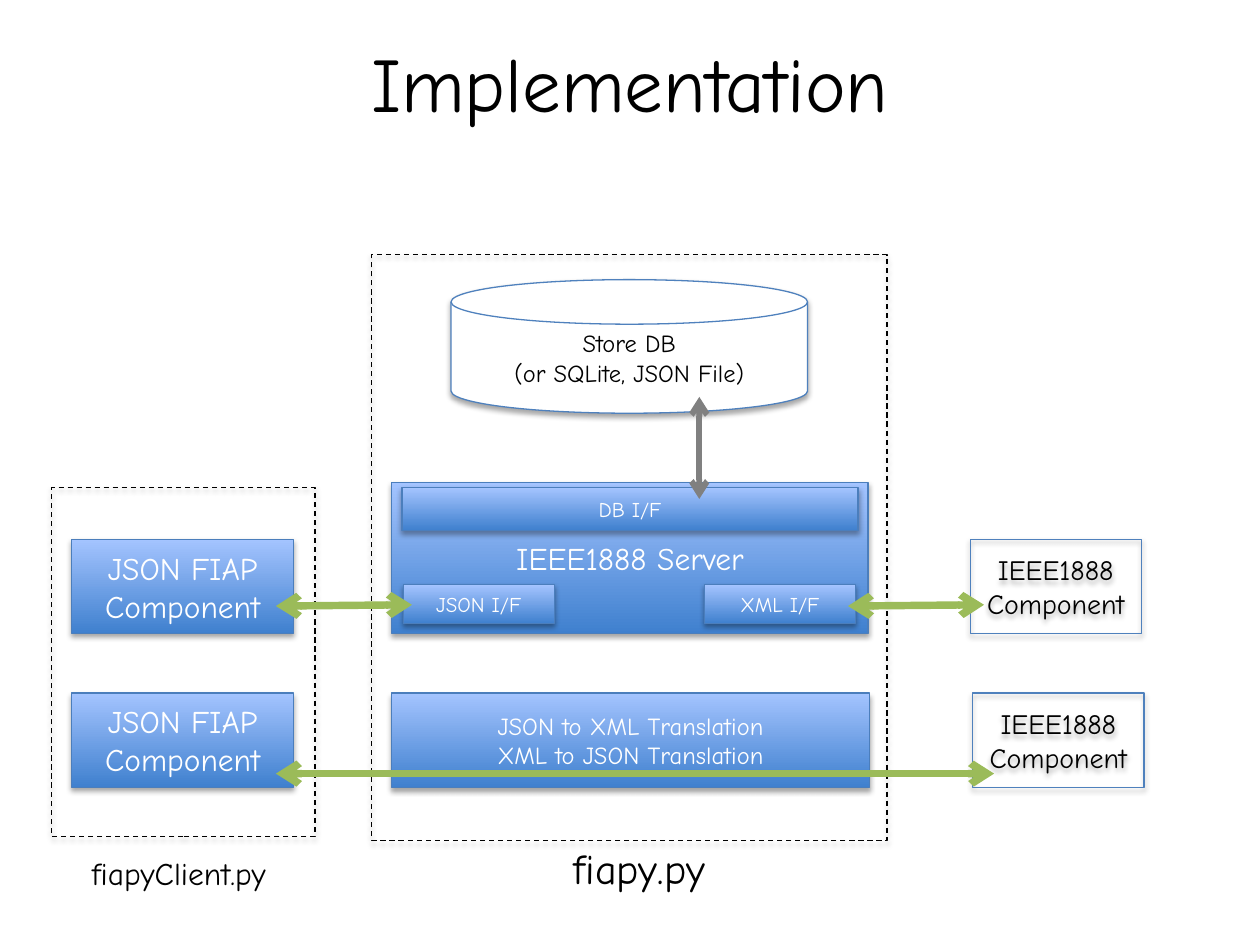
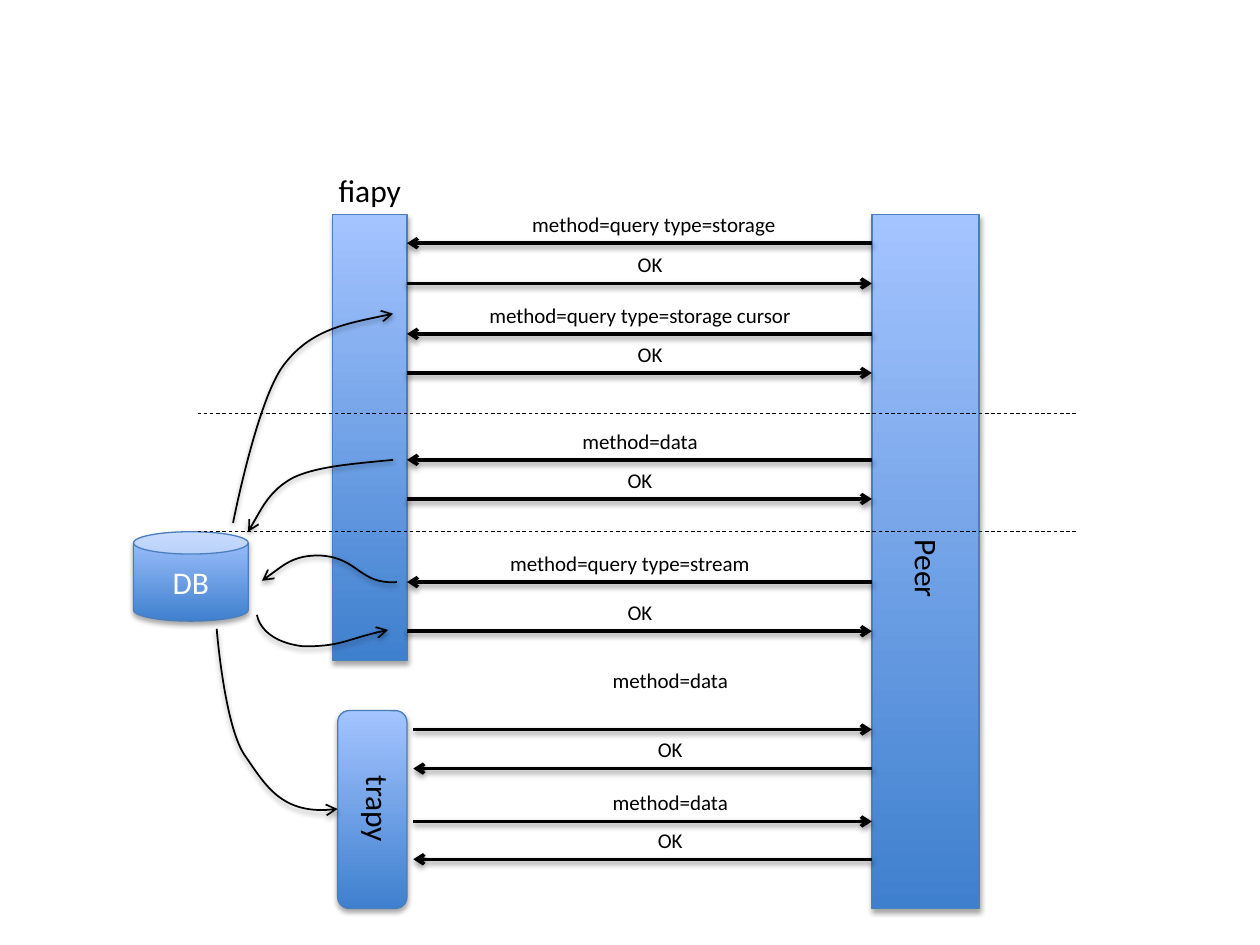
from dataclasses import dataclass

from pptx import Presentation
from pptx.dml.color import RGBColor
from pptx.enum.dml import MSO_LINE
from pptx.enum.shapes import MSO_CONNECTOR, MSO_SHAPE
from pptx.enum.text import MSO_ANCHOR, MSO_AUTO_SIZE, PP_ALIGN
from pptx.oxml import parse_xml
from pptx.oxml.ns import nsdecls, qn
from pptx.oxml.xmlchemy import OxmlElement
from pptx.util import Inches, Pt

RECT = MSO_SHAPE.RECTANGLE
ROUNDED = MSO_SHAPE.ROUNDED_RECTANGLE
CAN = MSO_SHAPE.CAN
DISK = MSO_SHAPE.FLOWCHART_MAGNETIC_DISK
STRAIGHT = MSO_CONNECTOR.STRAIGHT
DASH = MSO_LINE.DASH
CENTER = PP_ALIGN.CENTER
MIDDLE = MSO_ANCHOR.MIDDLE
GROW = MSO_AUTO_SIZE.SHAPE_TO_FIT_TEXT


@dataclass(frozen=True)
class Theme:
    black: str = "000000"
    white: str = "FFFFFF"
    blue_dark: str = "3F80CE"
    blue_light: str = "A4C4FF"
    blue_edge: str = "4B7EBC"
    outline: str = "4F81BD"
    green: str = "9BBB59"
    grey: str = "808080"
    hand: str = "Comic Neue"
    plain: str = "Calibri"
    title: int = 44
    caption: int = 24
    large: int = 18
    medium: int = 16
    body: int = 14
    small: int = 12


T = Theme()
BOX_SHADOW = (35, 1.8)    # opacity %, distance pt
LINE_SHADOW = (38, 1.6)

# Slide 1: text, box (left, top, width, height), type size
TITLE = "Implementation"
BLUE_BOXES = [
    ("IEEE1888 Server", (3.11, 3.83, 3.78, 1.2), T.large),
    ("DB I/F", (3.19, 3.87, 3.62, 0.34), T.small),
    ("JSON I/F", (3.2, 4.64, 1.2, 0.31), T.small),
    ("XML I/F", (5.59, 4.64, 1.2, 0.31), T.small),
    ("JSON FIAP Component", (0.57, 4.28, 1.76, 0.75), T.large),
    ("JSON FIAP Component", (0.57, 5.5, 1.76, 0.75), T.large),
    ("JSON to XML Translation\nXML to JSON Translation",
     (3.11, 5.5, 3.79, 0.75), T.body),
]
PEER_COMPONENTS = [(7.7, 4.28, 1.36, 0.75), (7.72, 5.5, 1.36, 0.75)]
PEER_TEXT = "IEEE1888\nComponent"
DATABASE = ("Store DB\n(or SQLite, JSON File)", (3.58, 2.22, 2.83, 1.06))
PROGRAM_FRAMES = [(2.95, 2.02, 4.09, 4.65), (0.41, 3.87, 2.09, 2.77)]
PROGRAM_NAMES = [
    ("fiapy.py", (3.58, 6.64, 2.99, 0.5), T.caption),
    ("fiapyClient.py", (0.2, 6.73, 2.44, 0.4), T.large),
]
# start, end, colour, width
LINKS = [
    ((2.19, 6.14), (7.89, 6.14), T.green, 4.25),
    ((2.19, 4.81), (3.27, 4.8), T.green, 4.25),
    ((6.73, 4.81), (7.81, 4.8), T.green, 4.25),
    ((5.55, 3.15), (5.55, 3.96), T.grey, 3.25),
]

# Slide 2: actors as text, shape, box
ACTORS = [
    ("DB", CAN, (1.06, 4.22, 0.91, 0.71)),
    ("", RECT, (2.64, 1.7, 0.59, 3.54)),
    ("", RECT, (6.92, 1.7, 0.85, 5.51)),
    ("", ROUNDED, (2.68, 5.64, 0.55, 1.57)),
]
# text, box, rotation
ACTOR_NAMES = [
    ("fiapy", (2.4, 1.31, 1.07, 0.4), 0),
    ("Peer", (6.38, 4.38, 2.09, 0.27), 90),
    ("trapy", (2.47, 6.22, 1.07, 0.4), 90),
]
FIAPY_EDGE, TRAPY_EDGE, PEER_EDGE = 3.23, 3.28, 6.92
LABEL_GAP, LABEL_HEIGHT = 0.3, 0.3
# text, line height, label centre, label width, extra label gap; to the Peer?
FIAPY_MESSAGES = [
    ("method=query type=storage", 1.93, 5.19, 2.85, 0, False),
    ("OK", 2.25, 5.16, 2.13, 0, True),
    ("method=query type=storage cursor", 2.65, 5.08, 2.62, 0, False),
    ("OK", 2.96, 5.16, 2.13, 0, True),
    ("method=data", 3.65, 5.08, 2.13, 0, False),
    ("OK", 3.96, 5.08, 2.13, 0, True),
    ("method=query type=stream", 4.62, 5.0, 2.13, 0, False),
    ("OK", 5.01, 5.08, 2.13, 0, True),
]
TRAPY_MESSAGES = [
    ("method=data", 5.79, 5.32, 2.13, 0.24, True),
    ("OK", 6.1, 5.32, 2.13, 0, False),
    ("method=data", 6.52, 5.32, 2.13, 0, True),
    ("OK", 6.82, 5.32, 2.13, 0, False),
]
PHASE_LINES = [3.28, 4.22]
PHASE_LEFT, PHASE_RIGHT = 1.57, 8.54
# Start point, then three Bezier points for each segment; arrow at the end
DB_CURVES = [
    [(1.85, 4.15), (1.85, 4.15), (2.04, 3.18), (2.25, 2.9),
     (2.46, 2.62), (2.79, 2.56), (3.12, 2.49)],
    [(3.12, 3.65), (2.82, 3.68), (2.52, 3.7), (2.33, 3.79),
     (2.14, 3.89), (1.97, 4.22), (1.97, 4.22)],
    [(3.15, 4.62), (2.85, 4.64), (2.85, 4.43), (2.55, 4.41),
     (2.33, 4.4), (2.08, 4.61), (2.08, 4.61)],
    [(2.04, 4.88), (2.04, 4.88), (2.06, 5.09), (2.41, 5.13),
     (2.7, 5.13), (2.75, 5.07), (3.08, 5.0)],
    [(1.72, 4.99), (1.72, 4.99), (1.78, 5.75), (1.94, 5.99),
     (2.1, 6.22), (2.24, 6.48), (2.68, 6.42)],
]


def inches(values):
    return [Inches(v) for v in values]


def rgb(color):
    return RGBColor.from_string(color)


def set_line(item, color, width, dash=None, ends=()):
    item.line.color.rgb = rgb(color)
    item.line.width = Pt(width)
    if dash:
        item.line.dash_style = dash
    for end in ends:
        arrow = OxmlElement(f"a:{end}")
        arrow.set("type", "arrow")
        item._element.spPr.find(qn("a:ln")).append(arrow)


def set_shadow(item, shadow=None):
    """Replace the theme's shadow; call after the line is set."""
    cast = ""
    if shadow:
        opacity, distance = shadow
        cast = (f'<a:outerShdw blurRad="{Pt(3.1)}" dist="{Pt(distance)}" '
                'dir="5400000" rotWithShape="0"><a:srgbClr val="000000">'
                f'<a:alpha val="{opacity * 1000}"/></a:srgbClr></a:outerShdw>')
    item._element.spPr.append(
        parse_xml(f'<a:effectLst {nsdecls("a")}>{cast}</a:effectLst>'))


def write(item, text, font, size, color):
    item.text_frame.text = text
    item.text_frame.word_wrap = True
    for line in item.text_frame.paragraphs:
        line.alignment = CENTER
        line.font.name = font
        line.font.size = Pt(size)
        line.font.color.rgb = rgb(color)


def add_box(slide, kind, box, edge, fill=None, dash=None):
    shape = slide.shapes.add_shape(kind, *inches(box))
    if fill == "gradient":
        shape.fill.gradient()
        shape.fill.gradient_angle = 90
        colors = (T.blue_dark, T.blue_light)
        for stop, color, place in zip(shape.fill.gradient_stops, colors, (0, 1)):
            stop.color.rgb = rgb(color)
            stop.position = place
    elif fill:
        shape.fill.solid()
        shape.fill.fore_color.rgb = rgb(fill)
    else:
        shape.fill.background()
    set_line(shape, edge, 0.75, dash)
    set_shadow(shape, BOX_SHADOW)
    return shape


def add_blue_box(slide, kind, box):
    return add_box(slide, kind, box, T.blue_edge, "gradient")


def add_label(slide, text, box, font, size, rotation=0):
    label = slide.shapes.add_textbox(*inches(box))
    label.rotation = rotation
    write(label, text, font, size, T.black)
    label.text_frame.auto_size = GROW


def add_line(slide, start, end, color, width, dash=None, ends=(), shadow=None):
    line = slide.shapes.add_connector(STRAIGHT, *inches(start + end))
    set_line(line, color, width, dash, ends)
    set_shadow(line, shadow)


def add_curve(slide, points):
    start, *rest = [tuple(inches(p)) for p in points]
    builder = slide.shapes.build_freeform(*start, scale=1.0)
    builder.add_line_segments(rest, close=False)
    curve = builder.convert_to_shape()
    # Join every three straight segments into one Bezier segment
    segments = list(curve._element.iter(qn("a:lnTo")))
    for i in range(0, len(segments), 3):
        bezier = OxmlElement("a:cubicBezTo")
        segments[i].addprevious(bezier)
        for segment in segments[i:i + 3]:
            bezier.append(segment[0])
            segment.getparent().remove(segment)
    curve.fill.background()
    set_line(curve, T.black, 1, ends=["tailEnd"])
    set_shadow(curve, LINE_SHADOW)


def build_implementation(deck):
    slide = deck.slides.add_slide(deck.slide_layouts[5])
    title = slide.shapes.title
    title.left, title.top, title.width, title.height = inches((0.5, 0.18, 9, 0.94))
    write(title, TITLE, T.hand, T.title, T.black)
    title.text_frame.vertical_anchor = MIDDLE

    # Programs and their components
    for frame in PROGRAM_FRAMES:
        add_box(slide, RECT, frame, T.black, dash=DASH)
    for text, box, size in BLUE_BOXES:
        write(add_blue_box(slide, RECT, box), text, T.hand, size, T.white)
    for box in PEER_COMPONENTS:
        component = add_box(slide, RECT, box, T.outline)
        write(component, PEER_TEXT, T.hand, T.medium, T.black)
    text, box = DATABASE
    database = add_box(slide, DISK, box, T.outline, T.white)
    write(database, text, T.hand, T.body, T.black)

    # Program names and links
    for text, box, size in PROGRAM_NAMES:
        add_label(slide, text, box, T.hand, size)
    for start, end, color, width in LINKS:
        add_line(slide, start, end, color, width, ends=["headEnd", "tailEnd"])


def build_sequence(deck):
    slide = deck.slides.add_slide(deck.slide_layouts[6])

    # Actors
    for text, kind, box in ACTORS:
        actor = add_blue_box(slide, kind, box)
        if text:
            write(actor, text, T.plain, T.large, T.white)
    for text, box, rotation in ACTOR_NAMES:
        add_label(slide, text, box, T.plain, T.large, rotation)

    # Messages, each drawn from sender to receiver
    for edge, messages in ((FIAPY_EDGE, FIAPY_MESSAGES),
                           (TRAPY_EDGE, TRAPY_MESSAGES)):
        for text, y, center, width, extra, to_peer in messages:
            start, end = (edge, y), (PEER_EDGE, y)
            if not to_peer:
                start, end = end, start
            add_line(slide, start, end, T.black, 2, ends=["tailEnd"],
                     shadow=LINE_SHADOW)
            box = (center - width / 2, y - LABEL_GAP - extra, width, LABEL_HEIGHT)
            add_label(slide, text, box, T.plain, T.small)

    # Phase separators and database access
    for y in PHASE_LINES:
        add_line(slide, (PHASE_RIGHT, y), (PHASE_LEFT, y), T.black, 0.5, DASH,
                 shadow=LINE_SHADOW)
    for points in DB_CURVES:
        add_curve(slide, points)


deck = Presentation()
deck.slide_width, deck.slide_height = Inches(10), Inches(7.5)
build_implementation(deck)
build_sequence(deck)
deck.save("out.pptx")
